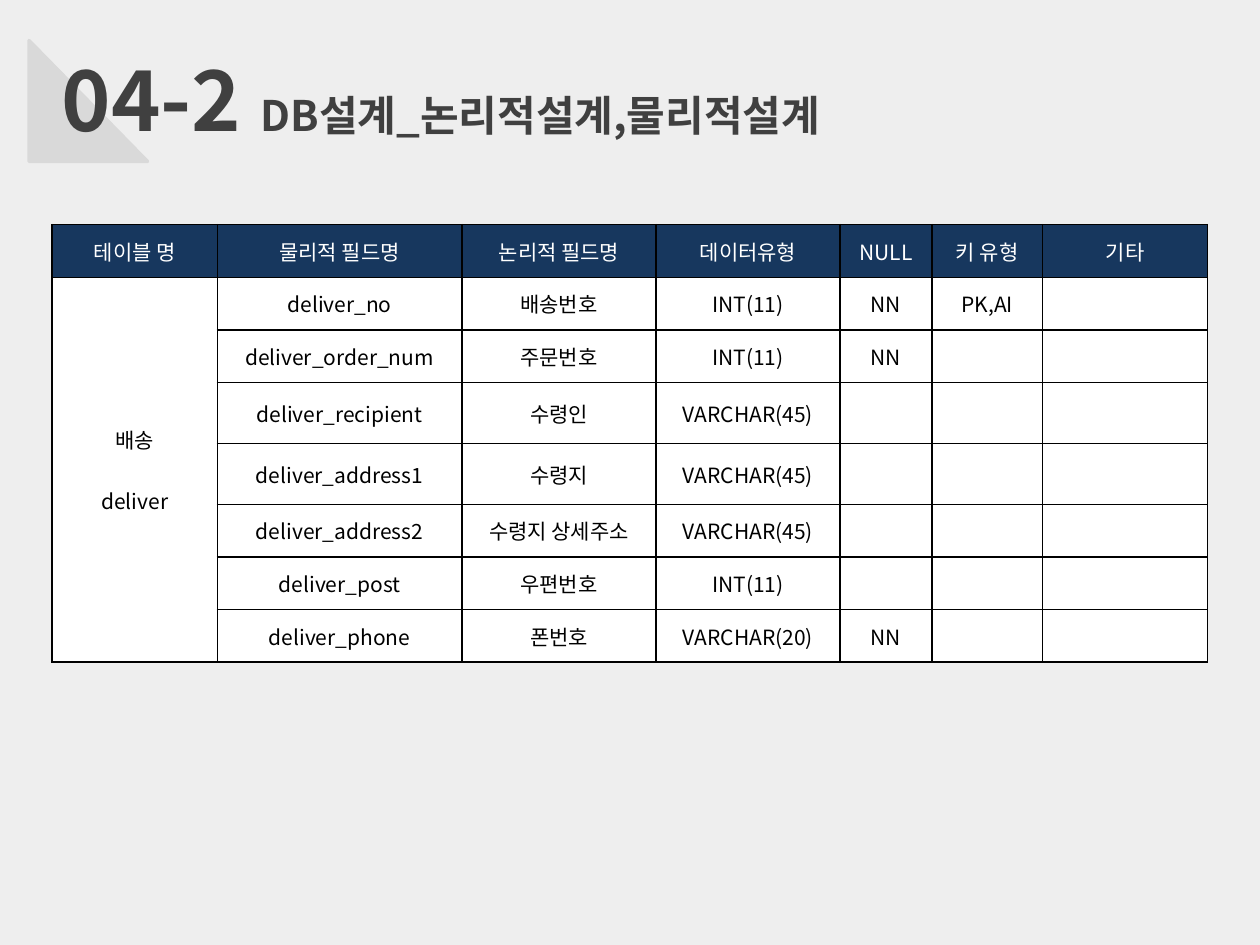
from dataclasses import dataclass

from lxml import etree
from pptx import Presentation
from pptx.dml import color as dml_color
from pptx.enum import shapes, text
from pptx.oxml import ns
from pptx.util import Pt

FONT = "Noto Sans CJK KR"
BORDER_SIDES = ("a:lnL", "a:lnR", "a:lnT", "a:lnB")


@dataclass(frozen=True)
class Column:
    heading: str
    width: float


@dataclass(frozen=True)
class Field:
    physical: str
    logical: str
    data_type: str
    null: str = ""
    key: str = ""
    note: str = ""
    height: float = 30.1

    def values(self) -> tuple:
        return (self.physical, self.logical, self.data_type,
                self.null, self.key, self.note)


COLUMNS = (
    Column("테이블 명", 94.4),
    Column("물리적 필드명", 139.8),
    Column("논리적 필드명", 111),
    Column("데이터유형", 105),
    Column("NULL", 52.6),
    Column("키 유형", 63.2),
    Column("기타", 94.4),
)
FIELDS = (
    Field("deliver_no", "배송번호", "INT(11)", "NN", "PK,AI"),
    Field("deliver_order_num", "주문번호", "INT(11)", "NN"),
    Field("deliver_recipient", "수령인", "VARCHAR(45)", height=34.8),
    Field("deliver_address1", "수령지", "VARCHAR(45)", height=34.8),
    Field("deliver_address2", "수령지 상세주소", "VARCHAR(45)"),
    Field("deliver_post", "우편번호", "INT(11)"),
    Field("deliver_phone", "폰번호", "VARCHAR(20)", "NN"),
)
HEADER_HEIGHT = 30.1


def rgb(value: str) -> dml_color.RGBColor:
    return dml_color.RGBColor.from_string(value)


def paint(fill, color: str) -> None:
    fill.solid()
    fill.fore_color.rgb = rgb(color)


def add_run(paragraph, words: str, size: float, color: str, bold: bool = False) -> None:
    run = paragraph.add_run()
    run.text = words
    run.font.name = FONT
    run.font.size = Pt(size)
    run.font.bold = bold
    run.font.color.rgb = rgb(color)
    east_asian = etree.SubElement(run.font._element, ns.qn("a:ea"))
    east_asian.set("typeface", FONT)


def add_borders(cell, color: str, width: float) -> None:
    properties = cell._tc.get_or_add_tcPr()
    for index, side in enumerate(BORDER_SIDES):
        line = etree.Element(ns.qn(side), w=str(Pt(width)))
        solid = etree.SubElement(line, ns.qn("a:solidFill"))
        etree.SubElement(solid, ns.qn("a:srgbClr"), val=color)
        properties.insert(index, line)


def style_cell(cell, fill: str) -> None:
    paint(cell.fill, fill)
    add_borders(cell, "000000", 1)
    cell.vertical_anchor = text.MSO_ANCHOR.MIDDLE


def write_line(paragraph, words: str, color: str) -> None:
    paragraph.alignment = text.PP_ALIGN.CENTER
    if words:
        add_run(paragraph, words, 12, color)


def add_title(slide) -> None:
    title = slide.shapes.title
    title.left, title.top, title.width, title.height = Pt(28), Pt(21.6), Pt(499), Pt(69)
    frame = title.text_frame
    frame.word_wrap = True
    frame.auto_size = text.MSO_AUTO_SIZE.NONE
    frame.vertical_anchor = text.MSO_ANCHOR.MIDDLE
    paragraph = frame.paragraphs[0]
    paragraph.alignment = text.PP_ALIGN.LEFT
    add_run(paragraph, "04-2 ", 48, "404040", True)
    add_run(paragraph, "DB설계_논리적설계,물리적설계", 24, "404040", True)


def add_corner(slide) -> None:
    corner = slide.shapes.add_shape(
        shapes.MSO_SHAPE.RIGHT_TRIANGLE, Pt(16.6), Pt(23.2), Pt(67.7), Pt(69.1))
    corner.shadow.inherit = False
    paint(corner.fill, "D9D9D9")
    corner.line.color.rgb = rgb("D9D9D9")
    corner.line.width = Pt(2)
    slide.shapes.title._element.addprevious(corner._element)


def add_field_table(slide) -> None:
    heights = [HEADER_HEIGHT] + [field.height for field in FIELDS]
    widths = [column.width for column in COLUMNS]
    table = slide.shapes.add_table(
        len(heights), len(widths), Pt(29.8), Pt(128.4),
        Pt(sum(widths)), Pt(sum(heights))).table
    for row, height in zip(table.rows, heights):
        row.height = Pt(height)
    for index, column in enumerate(COLUMNS):
        table.columns[index].width = Pt(column.width)
        cell = table.cell(0, index)
        style_cell(cell, "17375E")
        write_line(cell.text_frame.paragraphs[0], column.heading, "FFFFFF")
    for row, field in enumerate(FIELDS, 1):
        style_cell(table.cell(row, 0), "FFFFFF")
        for index, value in enumerate(field.values(), 1):
            cell = table.cell(row, index)
            style_cell(cell, "FFFFFF")
            write_line(cell.text_frame.paragraphs[0], value, "000000")
    name_cell = table.cell(1, 0)
    name_cell.merge(table.cell(len(FIELDS), 0))
    write_line(name_cell.text_frame.paragraphs[0], "배송", "000000")
    english = name_cell.text_frame.add_paragraph()
    english.space_before = Pt(17.4)
    write_line(english, "deliver", "000000")


def main() -> None:
    presentation = Presentation()
    presentation.slide_width, presentation.slide_height = Pt(720), Pt(540)
    slide = presentation.slides.add_slide(presentation.slide_layouts[5])
    paint(slide.background.fill, "EEEEEE")
    add_title(slide)
    add_corner(slide)
    add_field_table(slide)
    presentation.save("out.pptx")


if __name__ == "__main__":
    main()
